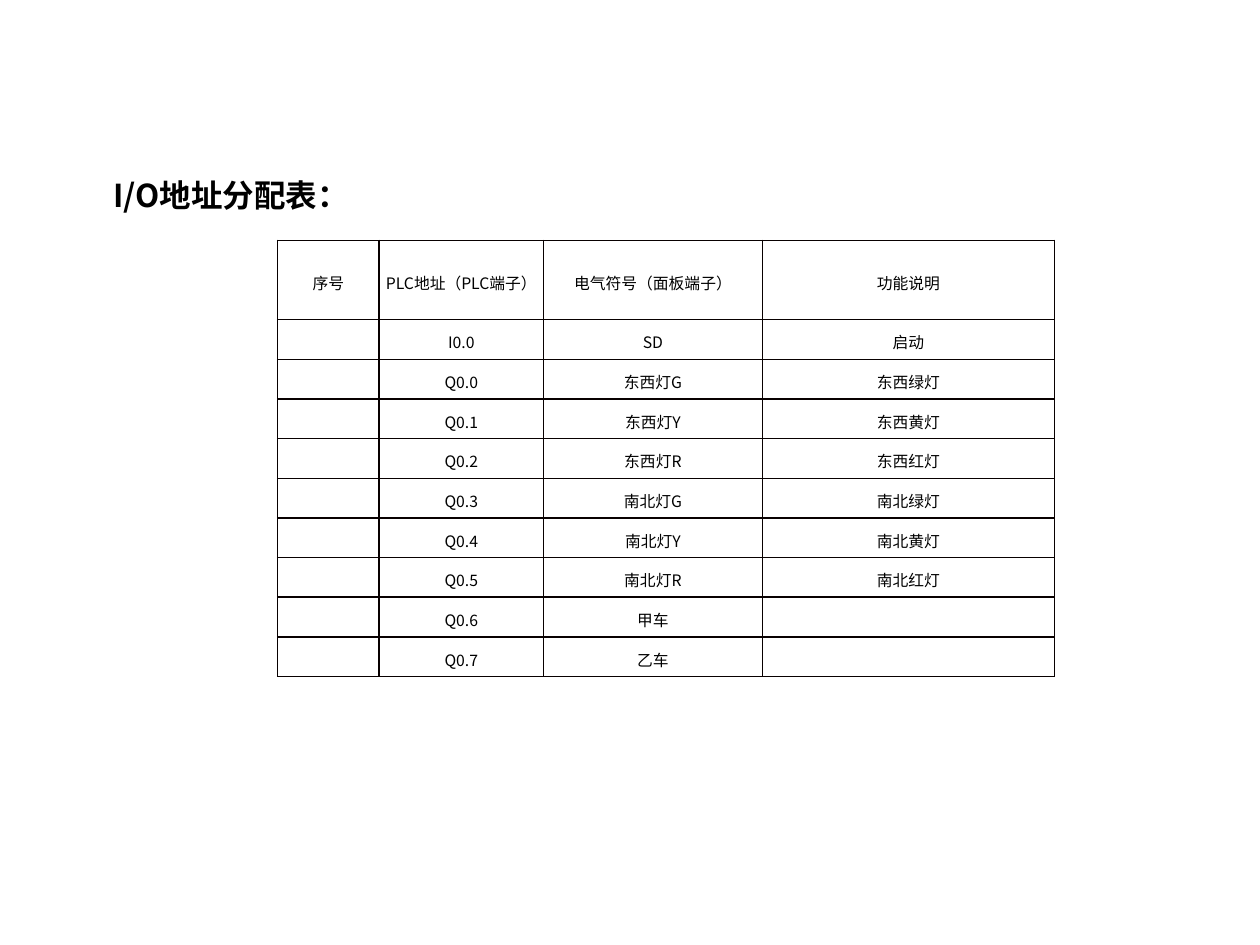
from lxml import etree
from pptx import Presentation
from pptx.dml.color import RGBColor
from pptx.enum.text import PP_ALIGN
from pptx.oxml.ns import qn
from pptx.util import Pt

CENTER = PP_ALIGN.CENTER
LEFT = PP_ALIGN.LEFT
FONT = "Noto Sans CJK SC"
COLORS = {"text": "000000", "border": "080000"}

# Content
TITLE = "I/O地址分配表："
HEADER = ("序号", "PLC地址（PLC端子）", "电气符号（面板端子）", "功能说明")
SIGNALS = [
    ("I0.0", "SD", "启动"),
    ("Q0.0", "东西灯G", "东西绿灯"),
    ("Q0.1", "东西灯Y", "东西黄灯"),
    ("Q0.2", "东西灯R", "东西红灯"),
    ("Q0.3", "南北灯G", "南北绿灯"),
    ("Q0.4", "南北灯Y", "南北黄灯"),
    ("Q0.5", "南北灯R", "南北红灯"),
    ("Q0.6", "甲车", ""),
    ("Q0.7", "乙车", ""),
]
ROWS = [HEADER] + [("", *signal) for signal in SIGNALS]

# Table geometry in points
TABLE_LEFT, TABLE_TOP = 158.6, 137.3
COL_WIDTHS = (58, 94, 125, 167)
HEADER_HEIGHT, ROW_HEIGHT = 45.4, 22.65
HEADER_INSET, ROW_INSET = 17.5, 6.3


def write(p, text, size, align, bold=False):
    p.alignment = align
    p.font.name = FONT
    p.font.size = Pt(size)
    p.font.bold = bold
    p.font.color.rgb = RGBColor.from_string(COLORS["text"])
    # East Asian face for the Chinese characters
    ea = etree.SubElement(p._p.pPr.find(qn("a:defRPr")), qn("a:ea"))
    ea.set("typeface", FONT)
    if text:
        p.add_run().text = text
    else:
        # An empty cell keeps the small line height
        etree.SubElement(p._p, qn("a:endParaRPr")).set("sz", str(size * 100))


def add_borders(cell):
    tc_pr = cell._tc.get_or_add_tcPr()
    for i, side in enumerate(("lnL", "lnR", "lnT", "lnB")):
        ln = etree.Element(qn(f"a:{side}"), w=str(Pt(1)))
        fill = etree.SubElement(ln, qn("a:solidFill"))
        etree.SubElement(fill, qn("a:srgbClr")).set("val", COLORS["border"])
        tc_pr.insert(i, ln)


prs = Presentation()
prs.slide_width, prs.slide_height = Pt(720), Pt(540)
s = prs.slides.add_slide(prs.slide_layouts[6])

# Address table
height = HEADER_HEIGHT + ROW_HEIGHT * len(SIGNALS)
table = s.shapes.add_table(len(ROWS), len(COL_WIDTHS), Pt(TABLE_LEFT), Pt(TABLE_TOP),
                           Pt(sum(COL_WIDTHS)), Pt(height)).table
table.first_row = table.horz_banding = False
for column, width in zip(table.columns, COL_WIDTHS):
    column.width = Pt(width)
for r, values in enumerate(ROWS):
    table.rows[r].height = Pt(ROW_HEIGHT if r else HEADER_HEIGHT)
    for c, text in enumerate(values):
        cell = table.cell(r, c)
        cell.margin_left = cell.margin_right = cell.margin_bottom = 0
        cell.margin_top = Pt(ROW_INSET if r else HEADER_INSET)
        cell.fill.background()
        add_borders(cell)
        write(cell.text_frame.paragraphs[0], text, 9, CENTER)

# Title
tf = s.shapes.add_textbox(Pt(64), Pt(99.4), Pt(138.2), Pt(23.8)).text_frame
tf.word_wrap = True
tf.margin_left = Pt(0.7)
tf.margin_top = Pt(1)
tf.margin_right = tf.margin_bottom = 0
write(tf.paragraphs[0], TITLE, 18, LEFT, bold=True)

prs.save("out.pptx")
